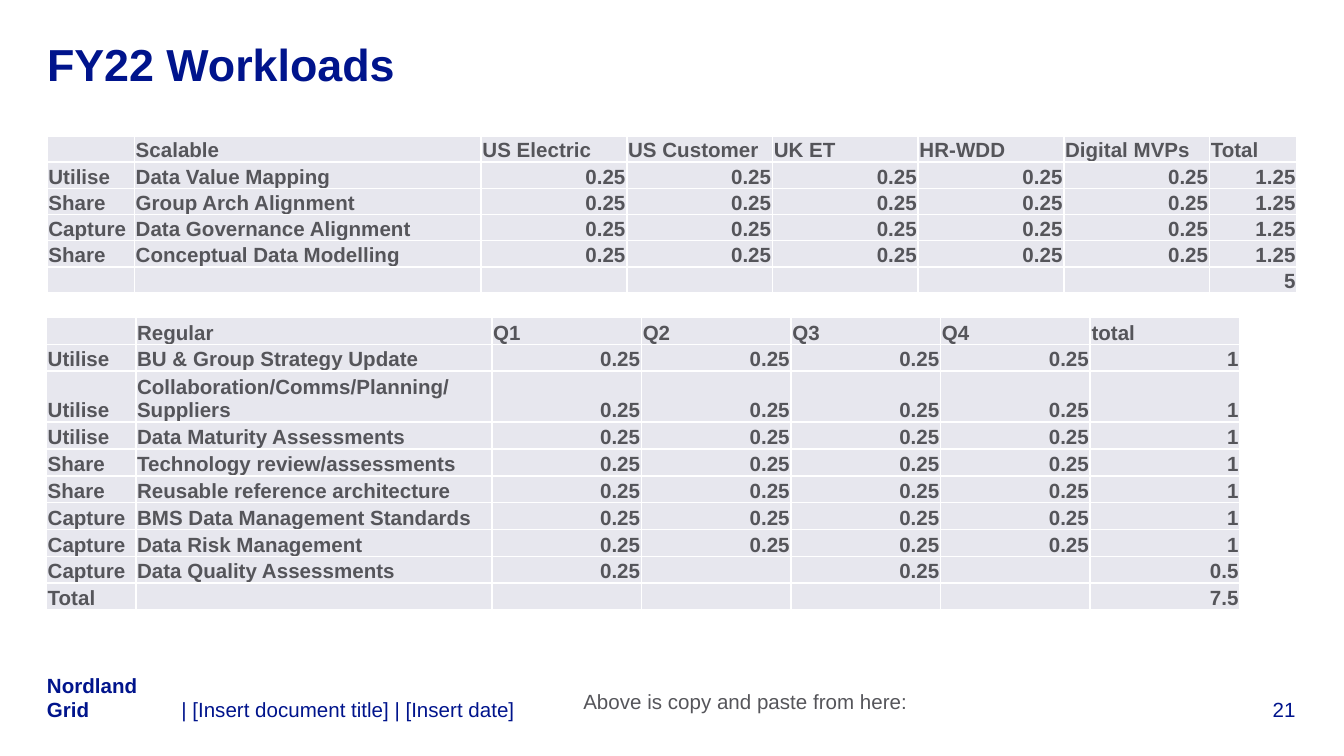
from lxml.etree import SubElement
from pptx import Presentation
from pptx.dml.color import RGBColor
from pptx.enum.text import MSO_ANCHOR, PP_ALIGN
from pptx.oxml.ns import qn
from pptx.util import Inches, Pt

NAVY = RGBColor(0x00, 0x14, 0x8C)
GREY = RGBColor(0x55, 0x55, 0x5A)
PALE = RGBColor(0xE7, 0xE7, 0xEE)
WHITE = RGBColor(0xFF, 0xFF, 0xFF)
SLIDE_WIDTH = Inches(10)
SLIDE_HEIGHT = SLIDE_WIDTH * 9 // 16
BODY_SIZE = 11
QUARTER = "0.25"

SCALABLE = [
    ["", "Scalable", "US Electric", "US Customer", "UK ET", "HR-WDD", "Digital MVPs", "Total"],
    ["Utilise", "Data Value Mapping"] + [QUARTER] * 5 + ["1.25"],
    ["Share", "Group Arch Alignment"] + [QUARTER] * 5 + ["1.25"],
    ["Capture", "Data Governance Alignment"] + [QUARTER] * 5 + ["1.25"],
    ["Share", "Conceptual Data Modelling"] + [QUARTER] * 5 + ["1.25"],
    [""] * 7 + ["5"],
]
REGULAR = [
    ["", "Regular", "Q1", "Q2", "Q3", "Q4", "total"],
    ["Utilise", "BU & Group Strategy Update"] + [QUARTER] * 4 + ["1"],
    ["Utilise", "Collaboration/Comms/Planning/Suppliers"] + [QUARTER] * 4 + ["1"],
    ["Utilise", "Data Maturity Assessments"] + [QUARTER] * 4 + ["1"],
    ["Share", "Technology review/assessments"] + [QUARTER] * 4 + ["1"],
    ["Share", "Reusable reference architecture"] + [QUARTER] * 4 + ["1"],
    ["Capture", "BMS Data Management Standards"] + [QUARTER] * 4 + ["1"],
    ["Capture", "Data Risk Management"] + [QUARTER] * 4 + ["1"],
    ["Capture", "Data Quality Assessments", QUARTER, "", QUARTER, "", "0.5"],
    ["Total"] + [""] * 5 + ["7.5"],
]


def across(percent):
    """Return a share of the slide width."""
    return int(SLIDE_WIDTH * percent / 100)


def down(percent):
    """Return a share of the slide height."""
    return int(SLIDE_HEIGHT * percent / 100)


def place(box):
    """Turn a box in percent of the slide into lengths."""
    left, top, width, height = box
    return across(left), down(top), across(width), down(height)


def style(paragraph, color, size=BODY_SIZE, bold=False, align=PP_ALIGN.LEFT):
    """Format a paragraph and its runs."""
    paragraph.alignment = align
    for run in paragraph.runs:
        run.font.name = "Arial"
        run.font.size = Pt(size)
        run.font.bold = bold
        run.font.color.rgb = color


def clear_margins(frame):
    """Remove the inner margins of a text frame."""
    frame.margin_left = frame.margin_right = frame.margin_top = frame.margin_bottom = 0
    frame.word_wrap = True


def add_title(slide, box, wording):
    """Move and format the title placeholder."""
    title = slide.shapes.title
    title.left, title.top, title.width, title.height = place(box)
    frame = title.text_frame
    frame.text = wording
    clear_margins(frame)
    frame.vertical_anchor = MSO_ANCHOR.TOP
    style(frame.paragraphs[0], NAVY, 24, True)


def add_line(slide, box, wording, color, anchor=MSO_ANCHOR.BOTTOM, **look):
    """Add one line of body-size text."""
    frame = slide.shapes.add_textbox(*place(box)).text_frame
    frame.text = wording
    clear_margins(frame)
    frame.vertical_anchor = anchor
    style(frame.paragraphs[0], color, **look)


def add_footer(slide, box):
    """Add the organisation, document line and page number along a strip."""
    left, top, width, height = box
    name_width, number_width = 10, 5.8
    add_line(slide, (left, top, name_width, height), "Nordland Grid", NAVY, bold=True)
    add_line(slide, (left + name_width, top, 78.7, height),
             "| [Insert document title] | [Insert date]", NAVY)
    add_line(slide, (left + width - number_width, top, number_width, height),
             "21", NAVY, align=PP_ALIGN.RIGHT)


def add_borders(cell):
    """Draw a thin white border on each side of a cell."""
    properties = cell._tc.get_or_add_tcPr()
    for position, side in enumerate(("a:lnL", "a:lnR", "a:lnT", "a:lnB")):
        border = SubElement(properties, qn(side), w=str(Pt(1)))
        fill = SubElement(border, qn("a:solidFill"))
        SubElement(fill, qn("a:srgbClr"), val=str(WHITE))
        properties.insert(position, border)


def fill_cell(cell, wording, align):
    """Write and format one table cell."""
    cell.text = wording
    cell.margin_left = cell.margin_right = cell.margin_top = Inches(0.01)
    cell.margin_bottom = 0
    cell.vertical_anchor = MSO_ANCHOR.BOTTOM
    cell.fill.solid()
    cell.fill.fore_color.rgb = PALE
    add_borders(cell)
    paragraph = cell.text_frame.paragraphs[0]
    paragraph.space_after = Pt(6)
    style(paragraph, GREY, bold=True, align=align)
    if not wording:
        SubElement(paragraph._p, qn("a:endParaRPr"), sz=str(BODY_SIZE * 100))


def add_workload(slide, box, records, edge_widths, row_height, tall_rows=()):
    """Add a workload table whose unlisted columns share the spare width."""
    column_count = len(records[0])
    table = slide.shapes.add_table(len(records), column_count, *place(box)).table
    table.first_row = table.horz_banding = False
    spare = (box[2] - sum(edge_widths.values())) / (column_count - len(edge_widths))
    for index, column in enumerate(table.columns):
        column.width = across(edge_widths.get(index, spare))
    for row_index, record in enumerate(records):
        height = row_height * 1.75 if row_index in tall_rows else row_height
        table.rows[row_index].height = down(height)
        for column_index, wording in enumerate(record):
            numeric = row_index > 0 and column_index > 1
            align = PP_ALIGN.RIGHT if numeric else PP_ALIGN.LEFT
            fill_cell(table.cell(row_index, column_index), wording, align)


def main():
    """Build and save the workloads slide."""
    presentation = Presentation()
    presentation.slide_width, presentation.slide_height = SLIDE_WIDTH, SLIDE_HEIGHT
    slide = presentation.slides.add_slide(presentation.slide_layouts[5])
    add_title(slide, (3.5, 4.8, 92.9, 8.4), "FY22 Workloads")
    add_footer(slide, (3.5, 92.1, 92.9, 3.4))
    add_workload(slide, (3.5, 18, 93, 20.8), SCALABLE, {0: 6.5, 1: 25.8, 7: 6.5}, 3.46)
    add_workload(slide, (3.45, 42, 88.8, 38.3), REGULAR, {0: 6.65, 1: 26.5}, 3.56, {2})
    add_line(slide, (43.4, 91.2, 27.9, 3.4), "Above is copy and paste from here:",
             GREY, MSO_ANCHOR.TOP)
    presentation.save("out.pptx")


if __name__ == "__main__":
    main()
